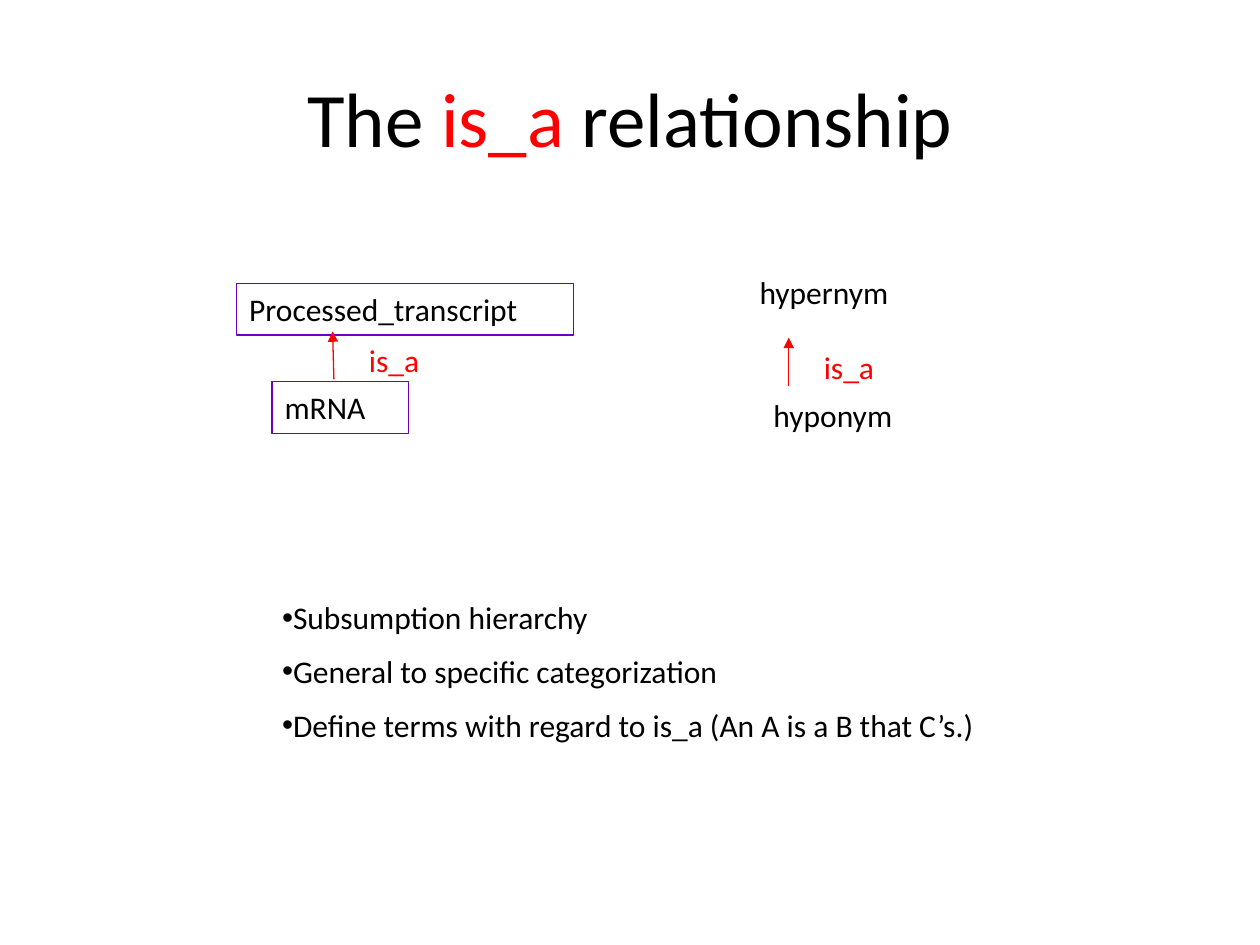
from dataclasses import dataclass

from lxml.etree import SubElement
from pptx import Presentation
from pptx.dml.color import RGBColor
from pptx.enum.shapes import MSO_CONNECTOR as Connector, MSO_SHAPE as Shape
from pptx.enum.text import MSO_ANCHOR as Anchor, MSO_AUTO_SIZE as AutoSize, PP_ALIGN as Align
from pptx.oxml.ns import qn
from pptx.util import Inches, Pt


@dataclass(frozen=True)
class Theme:
    font: str = "Calibri"
    ink: RGBColor = RGBColor(0x00, 0x00, 0x00)
    relation: RGBColor = RGBColor(0xFF, 0x00, 0x00)
    border: RGBColor = RGBColor(0x66, 0x00, 0xCC)
    title_size: Pt = Pt(44)
    body_size: Pt = Pt(18)
    line_width: Pt = Pt(0.75)
    bullet_gap: Pt = Pt(9)


class SlideBuilder:
    def __init__(self, slide, theme):
        self.shapes = slide.shapes
        self.theme = theme

    def style_run(self, run, color=None, size=None):
        run.font.name = self.theme.font
        run.font.size = size or self.theme.body_size
        run.font.color.rgb = color or self.theme.ink

    def text_box(self, left, top, width, height, wrap=True):
        frame = self.shapes.add_textbox(
            Inches(left), Inches(top), Inches(width), Inches(height)).text_frame
        frame.word_wrap = wrap
        return frame

    def title(self, parts):
        frame = self.text_box(0.5, 0.3, 9, 1.25)
        frame.vertical_anchor = Anchor.MIDDLE
        heading = frame.paragraphs[0]
        heading.alignment = Align.CENTER
        for text, color in parts:
            run = heading.add_run()
            run.text = text
            self.style_run(run, color, self.theme.title_size)

    def label(self, text, left, top, width, height, color=None, wrap=True):
        frame = self.text_box(left, top, width, height, wrap)
        frame.auto_size = AutoSize.SHAPE_TO_FIT_TEXT
        frame.text = text
        self.style_run(frame.paragraphs[0].runs[0], color)

    def term_box(self, text, left, top, width, height=0.41):
        box = self.shapes.add_shape(
            Shape.RECTANGLE, Inches(left), Inches(top), Inches(width), Inches(height))
        box.shadow.inherit = False
        box.fill.background()
        box.line.color.rgb = self.theme.border
        box.line.width = self.theme.line_width
        frame = box.text_frame
        frame.word_wrap = True
        frame.auto_size = AutoSize.SHAPE_TO_FIT_TEXT
        frame.vertical_anchor = Anchor.TOP
        frame.text = text
        frame.paragraphs[0].alignment = Align.LEFT
        self.style_run(frame.paragraphs[0].runs[0])

    def arrow(self, start, end):
        connector = self.shapes.add_connector(
            Connector.STRAIGHT, *(Inches(value) for value in (*start, *end)))
        connector.line.color.rgb = self.theme.relation
        connector.line.width = self.theme.line_width
        SubElement(connector.line._get_or_add_ln(), qn("a:tailEnd"), type="triangle")
        SubElement(connector._element.spPr, qn("a:effectLst"))

    def bullets(self, items, left, top, width, height):
        frame = self.text_box(left, top, width, height)
        frame.auto_size = AutoSize.SHAPE_TO_FIT_TEXT
        frame.text = "\n".join(items)
        for paragraph in frame.paragraphs:
            paragraph.space_before = self.theme.bullet_gap
            properties = paragraph._p.get_or_add_pPr()
            SubElement(properties, qn("a:buFont"), typeface="Arial")
            SubElement(properties, qn("a:buChar"), char="•")
            self.style_run(paragraph.runs[0])


def main():
    deck = Presentation()
    deck.slide_width, deck.slide_height = Inches(10), Inches(7.5)
    theme = Theme()
    page = SlideBuilder(deck.slides.add_slide(deck.slide_layouts[6]), theme)

    page.title([("The ", theme.ink), ("is_a ", theme.relation), ("relationship", theme.ink)])

    # Example: a transcript and its subtype
    page.term_box("mRNA", 2.16, 3.03, 1.08)
    page.term_box("Processed_transcript", 1.88, 2.25, 2.67)
    page.arrow((2.65, 3.01), (2.64, 2.63))
    page.label("is_a", 2.83, 2.66, 1.17, 0.4, theme.relation)

    # General terms for the two ends of the relationship
    page.label("hypernym", 5.93, 2.12, 1.66, 0.5, wrap=False)
    page.label("hyponym", 6.04, 3.09, 1.55, 0.5, wrap=False)
    page.arrow((6.26, 3.06), (6.26, 2.68))
    page.label("is_a", 6.44, 2.71, 1.17, 0.4, theme.relation)

    # What the relationship means
    page.bullets([
        "Subsumption hierarchy",
        "General to specific categorization",
        "Define terms with regard to is_a (An A is a B that C’s.)",
    ], 2.14, 4.7, 6.88, 2.12)

    deck.save("out.pptx")


if __name__ == "__main__":
    main()
